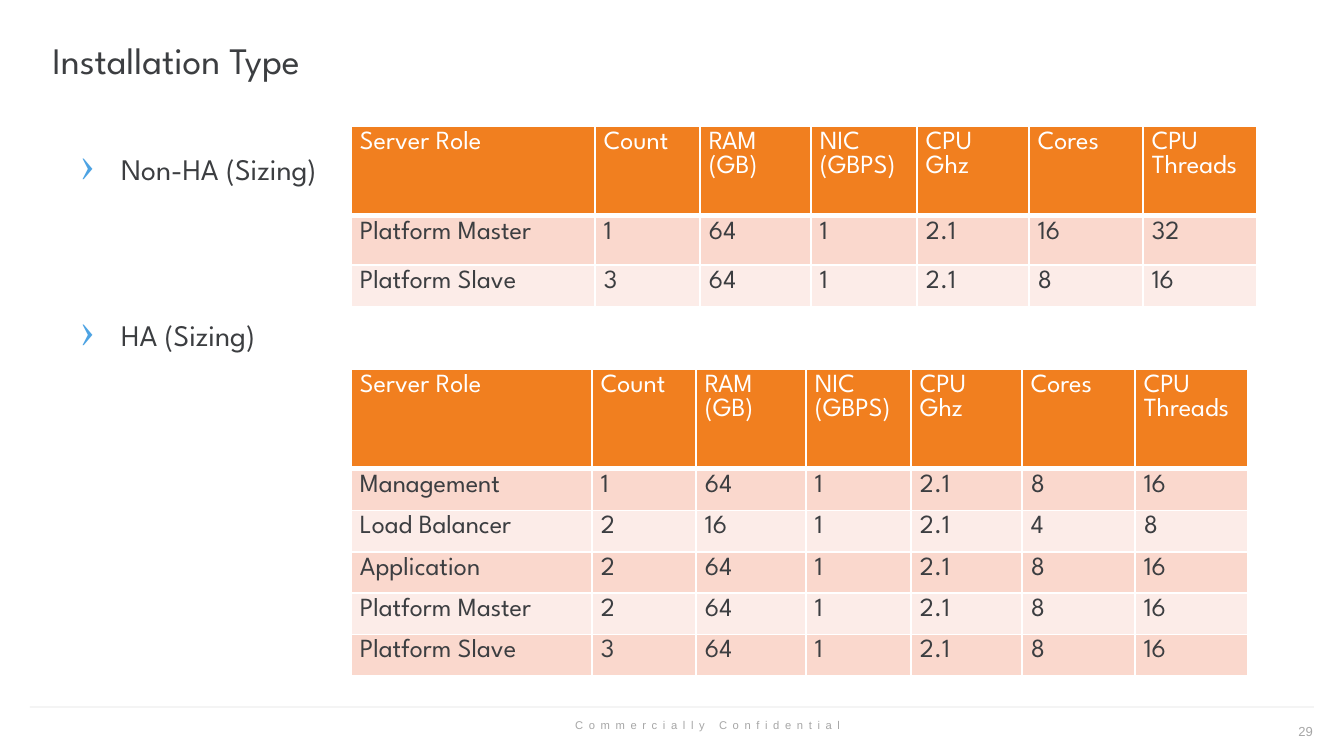
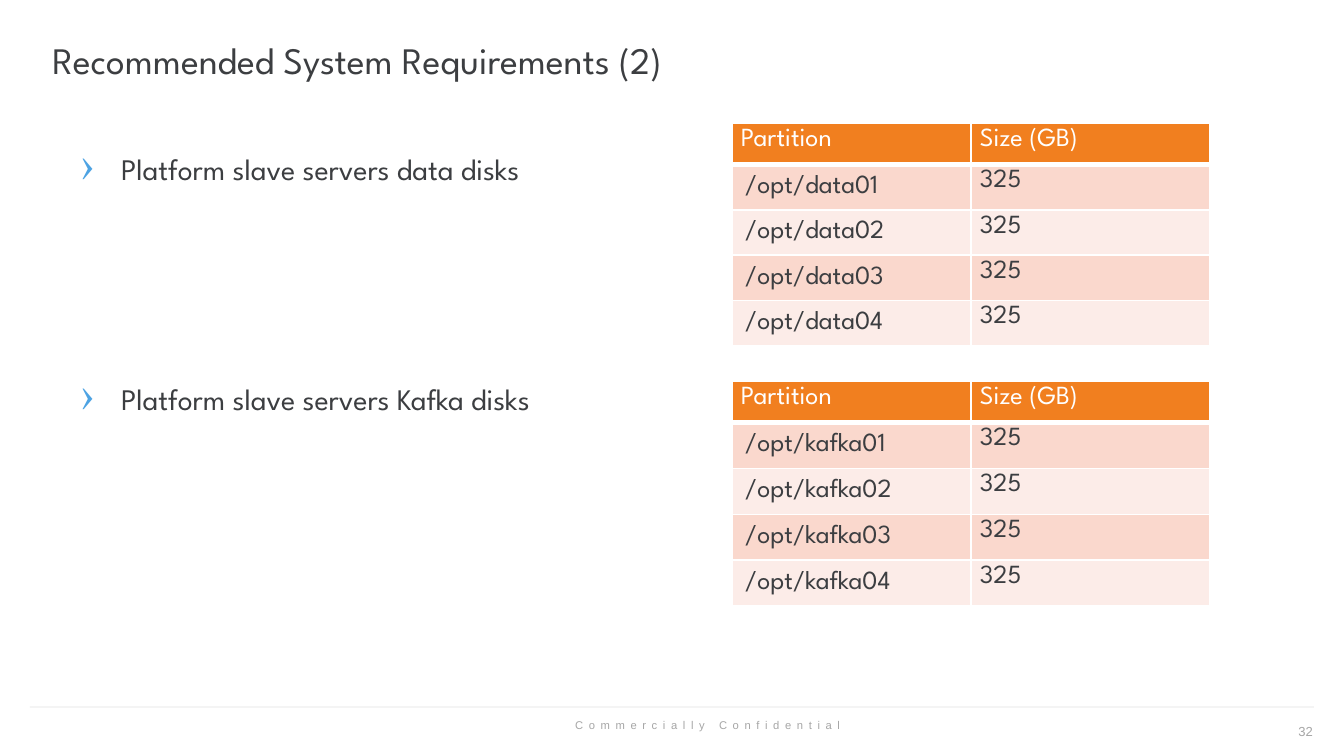
from lxml.etree import SubElement
from pptx import Presentation
from pptx.dml.color import RGBColor
from pptx.enum.shapes import MSO_CONNECTOR as CONNECTOR, MSO_SHAPE as SHAPE
from pptx.enum.text import MSO_ANCHOR as ANCHOR, PP_ALIGN as ALIGN
from pptx.oxml import parse_xml
from pptx.oxml.ns import nsdecls, qn
from pptx.util import Pt

SCALE = 9144000 / 1344
COLOURS = {
    "ink": "3C3E41",
    "white": "FFFFFF",
    "accent": "F17F1F",
    "band_dark": "FAD8CD",
    "band_light": "FCECE8",
    "bullet": "4DA3E3",
    "muted": "A6A6A6",
    "rule": "D9D9D9",
}
MAIN_FONT = "League Spartan"
FOOTER_FONT = "Arial"
SERVER_HEADER = ["Server Role", "Count", "RAM (GB)", "NIC (GBPS)", "CPU Ghz", "Cores", "CPU Threads"]
SERVER_COLUMNS = [244, 105, 111, 106, 112, 114, 114]
NON_HA_SERVERS = [
    ["Platform Master", "1", "64", "1", "2.1", "16", "32"],
    ["Platform Slave", "3", "64", "1", "2.1", "8", "16"],
]
HA_SERVERS = [
    ["Management", "1", "64", "1", "2.1", "8", "16"],
    ["Load Balancer", "2", "16", "1", "2.1", "4", "8"],
    ["Application", "2", "64", "1", "2.1", "8", "16"],
    ["Platform Master", "2", "64", "1", "2.1", "8", "16"],
    ["Platform Slave", "3", "64", "1", "2.1", "8", "16"],
]


def px(length):
    """Turn pixels into EMU."""
    return round(length * SCALE)


def colour(name):
    """Look up a named colour."""
    return RGBColor.from_string(COLOURS[name])


def add_span(para, text, size, ink="ink", font=MAIN_FONT):
    """Add one formatted run to a paragraph."""
    span = para.add_run()
    span.text = text
    span.font.name = font
    span.font.size = Pt(size)
    span.font.bold = False
    span.font.color.rgb = colour(ink)
    return span


def set_insets(target, side, edge):
    """Set the side and the top and bottom margins of a cell or text frame."""
    target.margin_left = target.margin_right = px(side)
    target.margin_top = target.margin_bottom = px(edge)


def set_alpha(fill, percent):
    """Make a solid fill element partly transparent."""
    SubElement(fill.find(qn("a:srgbClr")), qn("a:alpha"), val=str(percent * 1000))


def add_title(page, text, left, top, width, height):
    """Place and fill the title placeholder."""
    title = page.shapes.title
    title.left, title.top, title.width, title.height = map(px, (left, top, width, height))
    frame = title.text_frame
    frame.vertical_anchor = ANCHOR.MIDDLE
    para = frame.paragraphs[0]
    para.alignment = ALIGN.LEFT
    para.line_spacing = 0.9
    add_span(para, text, 20)


def add_footer(page, number, left, top, width):
    """Draw the rule, the confidentiality note and the page number."""
    rule = page.shapes.add_connector(CONNECTOR.STRAIGHT, px(left), px(top), px(left + width), px(top))
    rule.line.color.rgb = colour("rule")
    rule.line.width = Pt(0.75)
    properties = rule.element.spPr
    set_alpha(properties.find(qn("a:ln")).find(qn("a:solidFill")), 44)
    SubElement(properties, qn("a:effectLst"))

    note = page.shapes.add_shape(SHAPE.RECTANGLE, px(left + 516), px(top + 5), px(323), px(40))
    note.shadow.inherit = False
    note.fill.solid()
    note.fill.fore_color.rgb = colour("white")
    set_alpha(note.element.spPr.find(qn("a:solidFill")), 50)
    note.line.fill.background()
    frame = note.text_frame
    frame.word_wrap = True
    frame.vertical_anchor = ANCHOR.MIDDLE
    set_insets(frame, 13, 7)
    frame.margin_bottom = px(20)
    para = frame.paragraphs[0]
    para.alignment = ALIGN.CENTER
    span = add_span(para, "Commercially Confidential", 6, "muted", FOOTER_FONT)
    span.font._element.set("spc", "300")

    box = page.shapes.add_textbox(px(left + 1180), px(top + 4), px(116), px(40))
    box.text_frame.word_wrap = True
    box.text_frame.vertical_anchor = ANCHOR.MIDDLE
    para = box.text_frame.paragraphs[0]
    para.alignment = ALIGN.RIGHT
    add_span(para, str(number), 7, "muted", FOOTER_FONT)


def add_bullets(page, topics, gap, left, top, width, height):
    """List the topics as bullets, separated by a gap in points."""
    box = page.shapes.add_textbox(px(left), px(top), px(width), px(height))
    frame = box.text_frame
    frame.word_wrap = True
    for index, topic in enumerate(topics):
        para = frame.add_paragraph() if index else frame.paragraphs[0]
        properties = para._p.get_or_add_pPr()
        properties.set("marL", str(px(68)))
        properties.set("indent", str(px(-41)))
        bullet_colour = SubElement(properties, qn("a:buClr"))
        SubElement(bullet_colour, qn("a:srgbClr"), val=COLOURS["bullet"])
        SubElement(properties, qn("a:buSzPct"), val="150000")
        SubElement(properties, qn("a:buChar"), char="›")
        para.space_after = Pt(6)
        if index:
            para.space_before = Pt(gap)
        add_span(para, topic, 16)


def set_borders(cell, bottom):
    """Give a cell white borders, with the bottom width in points."""
    properties = cell._tc.get_or_add_tcPr()
    for index, (side, width) in enumerate(zip("LRTB", (1, 1, 1, bottom))):
        properties.insert(index, parse_xml(
            f'<a:ln{side} {nsdecls("a")} w="{Pt(width)}"><a:solidFill>'
            f'<a:srgbClr val="{COLOURS["white"]}"/></a:solidFill></a:ln{side}>'))


def add_grid(page, rows, columns, heights, left, top, width, paths_first=False):
    """Draw a banded table whose columns share the width by weight."""
    frame = page.shapes.add_table(len(rows), len(columns), px(left), px(top), px(width), px(sum(heights)))
    table = frame.table
    for column, weight in zip(table.columns, columns):
        column.width = px(round(weight * width / sum(columns)))
    for row_index, (row, height) in enumerate(zip(rows, heights)):
        table.rows[row_index].height = px(height)
        header = row_index == 0
        fill = "accent" if header else ("band_light", "band_dark")[row_index % 2]
        for column_index, text in enumerate(row):
            cell = table.cell(row_index, column_index)
            cell.fill.solid()
            cell.fill.fore_color.rgb = colour(fill)
            set_borders(cell, 3 if header else 1)
            if paths_first and not header and column_index == 0:
                cell.vertical_anchor = ANCHOR.MIDDLE
                set_insets(cell, 13, 7)
            else:
                set_insets(cell, 9, 5)
            add_span(cell.text_frame.paragraphs[0], text, 14, "white" if header else "ink")


def add_page(deck, title, number, topics, gap):
    """Add a slide with its title, bullets and footer."""
    page = deck.slides.add_slide(deck.slide_layouts[5])
    add_footer(page, number, 30, 707, 1284)
    add_title(page, title, 39, 9, 1275, 106)
    add_bullets(page, topics, gap, 40, 144, 1253, 519)
    return page


def add_installation_page(deck):
    """Build the server sizing slide."""
    page = add_page(deck, "Installation Type", 29, ["Non-HA (Sizing)", "HA (Sizing)"], 64)
    add_grid(page, [SERVER_HEADER] + HA_SERVERS, SERVER_COLUMNS, [100] + [41] * 5, 351, 369, 895)
    add_grid(page, [SERVER_HEADER] + NON_HA_SERVERS, SERVER_COLUMNS, [90, 49, 36], 351, 126, 906)


def add_requirements_page(deck):
    """Build the disk partition slide."""
    topics = [f"Platform slave servers {kind} disks" for kind in ("data", "Kafka")]
    page = add_page(deck, "Recommended System Requirements (2)", 32, topics, 98)
    for kind, top, height in (("data", 123, 41), ("kafka", 381, 46)):
        rows = [["Partition", "Size (GB)"]] + [[f"/opt/{kind}{disk:02}", "325"] for disk in range(1, 5)]
        add_grid(page, rows, [1, 1], [33] + [height] * 4, 732, top, 478, paths_first=True)


def main():
    """Build and save the deck."""
    deck = Presentation()
    deck.slide_width, deck.slide_height = px(1344), px(756)
    add_installation_page(deck)
    add_requirements_page(deck)
    deck.save("out.pptx")


if __name__ == "__main__":
    main()
